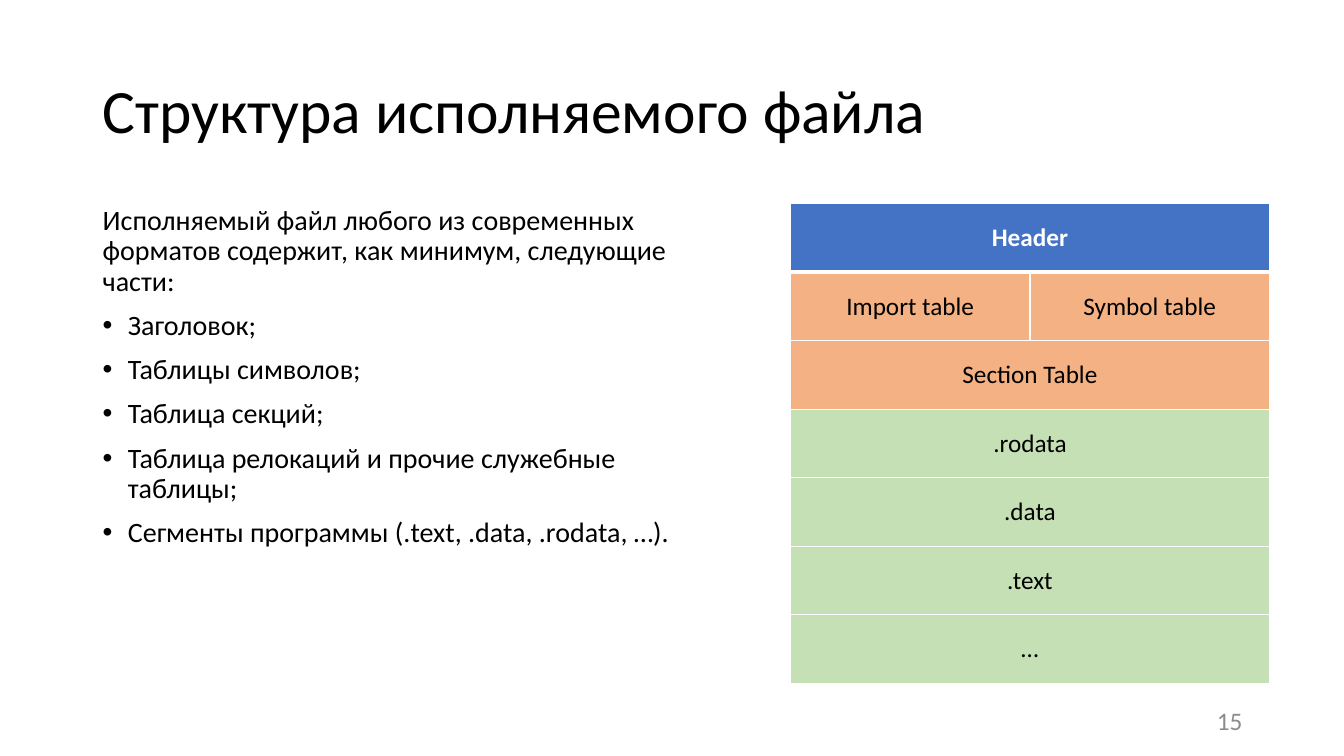
from dataclasses import dataclass

from lxml.etree import SubElement
from pptx import Presentation
from pptx.dml.color import RGBColor
from pptx.enum.text import MSO_ANCHOR, MSO_AUTO_SIZE, PP_ALIGN
from pptx.oxml.ns import qn
from pptx.util import Inches, Pt


@dataclass(frozen=True)
class Theme:
    font: str = "Calibri"
    ink: str = "000000"
    white: str = "FFFFFF"
    muted: str = "8C8C8C"
    header: str = "4472C4"
    tables: str = "F4B183"
    sections: str = "C5E0B4"
    title_size: int = 44
    body_size: int = 20
    label_size: int = 18


THEME = Theme()

TITLE = "Структура исполняемого файла"
INTRO = "Исполняемый файл любого из современных форматов содержит, как минимум, следующие части:"
FILE_PARTS = [
    "Заголовок;",
    "Таблицы символов;",
    "Таблица секций;",
    "Таблица релокаций и прочие служебные таблицы;",
    "Сегменты программы (.text, .data, .rodata, …).",
]
FILE_LAYOUT = [
    (["Header"], THEME.header),
    (["Import table", "Symbol table"], THEME.tables),
    (["Section Table"], THEME.tables),
    ([".rodata"], THEME.sections),
    ([".data"], THEME.sections),
    ([".text"], THEME.sections),
    (["…"], THEME.sections),
]


def apply(target, values):
    for name, value in values.items():
        setattr(target, name, value)


def write(para, text, size, color=THEME.ink, bold=False, **layout):
    apply(para, layout)
    span = para.add_run()
    span.text = text
    apply(span.font, {"name": THEME.font, "size": Pt(size), "bold": bold})
    span.font.color.rgb = RGBColor.from_string(color)


def place(shape, box):
    apply(shape, dict(zip(("left", "top", "width", "height"), map(Inches, box))))


def add_title(page, box):
    title = page.shapes.title
    place(title, box)
    apply(title.text_frame, {"vertical_anchor": MSO_ANCHOR.MIDDLE, "word_wrap": True,
                             "auto_size": MSO_AUTO_SIZE.NONE})
    write(title.text_frame.paragraphs[0], TITLE, THEME.title_size,
          alignment=PP_ALIGN.LEFT, line_spacing=0.9)


def add_bullet(para):
    properties = para._p.get_or_add_pPr()
    properties.set("marL", str(Inches(0.25)))
    properties.set("indent", str(-Inches(0.25)))
    SubElement(properties, qn("a:buFont"), typeface="Arial")
    SubElement(properties, qn("a:buChar"), char="•")


def add_description(page, box):
    frame = page.shapes.add_textbox(*map(Inches, box)).text_frame
    frame.word_wrap = True
    write(frame.paragraphs[0], INTRO, THEME.body_size, line_spacing=0.9)
    for part in FILE_PARTS:
        para = frame.add_paragraph()
        add_bullet(para)
        write(para, part, THEME.body_size, line_spacing=0.9, space_before=Pt(10))


def set_borders(cell, widths):
    """Draw white borders; widths holds points for the left, right, top and bottom."""
    properties = cell._tc.get_or_add_tcPr()
    for side, width in zip("LRTB", widths):
        line = SubElement(properties, qn(f"a:ln{side}"), w=str(Pt(width)))
        fill = SubElement(line, qn("a:solidFill"))
        SubElement(fill, qn("a:srgbClr"), val=THEME.white)


def add_file_layout(page, box):
    columns = 2
    table = page.shapes.add_table(len(FILE_LAYOUT), columns, *map(Inches, box)).table
    table.horz_banding = False
    for row, (labels, color) in enumerate(FILE_LAYOUT):
        is_header = row == 0
        for column in range(columns):
            cell = table.cell(row, column)
            set_borders(cell, (1, 1, 3 if row == 1 else 1, 3 if is_header else 1))
            cell.fill.solid()
            cell.fill.fore_color.rgb = RGBColor.from_string(color)
            cell.vertical_anchor = MSO_ANCHOR.MIDDLE
        if len(labels) == 1:
            table.cell(row, 0).merge(table.cell(row, columns - 1))
        for column, label in enumerate(labels):
            write(table.cell(row, column).text_frame.paragraphs[0], label, THEME.label_size,
                  THEME.white if is_header else THEME.ink, is_header,
                  alignment=PP_ALIGN.CENTER)


def add_page_number(page, box):
    frame = page.shapes.add_textbox(*map(Inches, box)).text_frame
    apply(frame, {"word_wrap": True, "vertical_anchor": MSO_ANCHOR.MIDDLE})
    write(frame.paragraphs[0], "15", THEME.label_size, THEME.muted,
          alignment=PP_ALIGN.RIGHT)


def main():
    deck = Presentation()
    apply(deck, {"slide_width": Inches(13.33), "slide_height": Inches(7.5)})
    page = deck.slides.add_slide(deck.slide_layouts.get_by_name("Title Only"))
    add_title(page, (0.92, 0.4, 11.5, 1.45))
    add_description(page, (0.92, 2, 6.08, 4.76))
    add_file_layout(page, (7.84, 2.02, 4.75, 4.76))
    add_page_number(page, (9.42, 6.95, 3, 0.4))
    deck.save("out.pptx")


if __name__ == "__main__":
    main()
